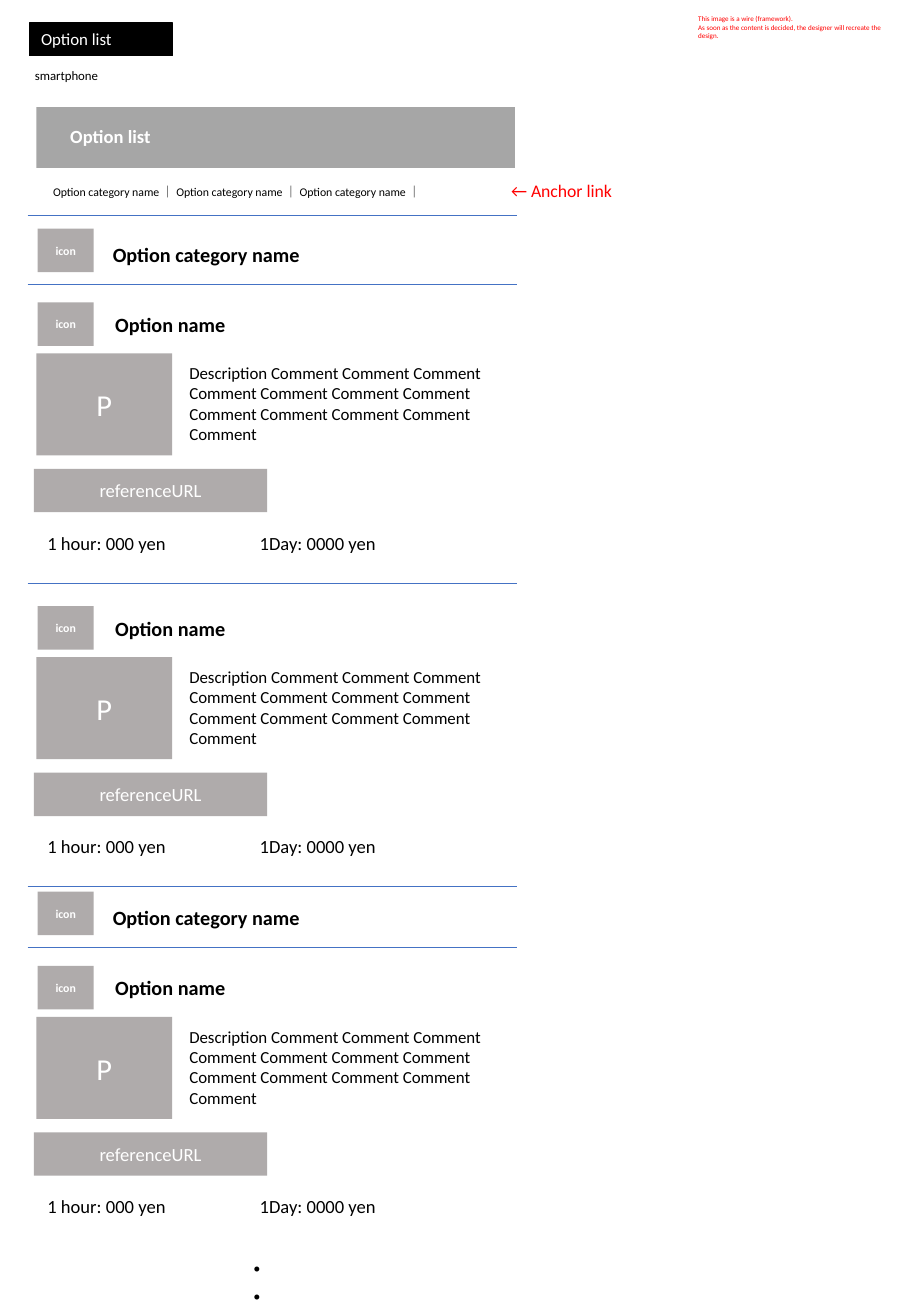
"""Build the smartphone wireframe of the option list page."""
from dataclasses import dataclass
from typing import Optional

import lxml.etree
import pptx
import pptx.dml.color
import pptx.enum.shapes
import pptx.enum.text
import pptx.oxml.ns
import pptx.shapes.autoshape
import pptx.slide
import pptx.util

Cm = pptx.util.Cm
Align = pptx.enum.text.PP_ALIGN
Anchor = pptx.enum.text.MSO_ANCHOR
AutoSize = pptx.enum.text.MSO_AUTO_SIZE


@dataclass(frozen=True)
class Theme:
    font: str = "Calibri"
    black: str = "000000"
    white: str = "FFFFFF"
    red: str = "FF0000"
    banner: str = "A6A6A6"
    placeholder: str = "AFABAB"
    rule: str = "4472C4"
    note: float = 4.2
    small: float = 7
    device: float = 7.6
    body: float = 10
    anchor: float = 10.5
    label: float = 11
    heading: float = 12
    bullet: float = 14
    photo: float = 18


@dataclass(frozen=True)
class Area:
    left: float
    top: float
    width: float
    height: float

    def below(self, offset: float) -> "Area":
        return Area(self.left, round(self.top + offset, 2), self.width, self.height)


@dataclass(frozen=True)
class Label:
    area: Area
    text: str
    size: float
    color: str = Theme.black
    bold: bool = False
    wrap: bool = False
    grow: bool = True
    anchor: Anchor = Anchor.TOP


@dataclass(frozen=True)
class Block:
    area: Area
    text: str
    size: float
    bold: bool = False


THEME = Theme()
ICON = Block(Area(0.79, 0, 1.17, 0.91), "icon", THEME.small, bold=True)
DESCRIPTION = "Description" + " Comment" * 12
NAVIGATION = " ".join(["Option category name ｜"] * 3)
NOTE = ("This image is a wire (framework).\n"
        "As soon as the content is decided, the designer will recreate the design.")

PAGE_LABELS = (
    Label(Area(0.48, 1.3, 2.41, 0.58), "smartphone", THEME.device),
    Label(Area(14.35, 0.18, 4.78, 0.61), NOTE, THEME.note, THEME.red),
    Label(Area(1.22, 2.59, 4.32, 0.51), "Option list", THEME.label, THEME.white,
          bold=True, wrap=True, grow=False, anchor=Anchor.MIDDLE),
    Label(Area(0.86, 3.73, 10.01, 0.56), NAVIGATION, THEME.small, wrap=True),
    Label(Area(10.44, 3.63, 3.48, 0.71), "← Anchor link", THEME.anchor, THEME.red),
    Label(Area(4.88, 26.11, 1.02, 1.45), "・\n・", THEME.bullet),
)
CATEGORY_PARTS = (
    ICON,
    Label(Area(2.11, 0.15, 5.21, 0.76), "Option category name", THEME.heading, bold=True),
)
OPTION_PARTS = (
    ICON,
    Label(Area(2.16, 0.08, 3.07, 0.76), "Option name", THEME.heading, bold=True),
    Block(Area(0.76, 1.07, 2.84, 2.13), "P", THEME.photo),
    Label(Area(3.71, 1.14, 7.04, 1.55), DESCRIPTION, THEME.body, wrap=True),
    Block(Area(0.71, 3.48, 4.88, 0.91), "referenceURL", THEME.label),
    Label(Area(0.74, 4.67, 3.66, 0.74), "1 hour: 000 yen", THEME.label),
    Label(Area(5.18, 4.67, 3.45, 0.74), "1Day: 0000 yen", THEME.label),
)
CATEGORY_TOPS = (4.78, 18.64)
OPTION_TOPS = (6.32, 12.67, 20.19)
RULE_TOPS = (4.5, 5.94, 12.19, 18.52, 19.81)
RULE_LEFT, RULE_RIGHT = 0.58, 10.82


def rgb(color: str) -> pptx.dml.color.RGBColor:
    return pptx.dml.color.RGBColor.from_string(color)


def write_text(shape: pptx.shapes.autoshape.Shape, text: str, *, size: float,
               color: str = THEME.black, bold: bool = False, wrap: bool = True,
               grow: bool = False, align: Align = Align.LEFT,
               anchor: Anchor = Anchor.TOP) -> None:
    frame = shape.text_frame
    frame.word_wrap = wrap
    frame.auto_size = AutoSize.SHAPE_TO_FIT_TEXT if grow else AutoSize.NONE
    frame.vertical_anchor = anchor
    frame.text = text
    for paragraph in frame.paragraphs:
        paragraph.alignment = align
        for run in paragraph.runs:
            run.font.name = THEME.font
            run.font.size = pptx.util.Pt(size)
            run.font.bold = bold
            run.font.color.rgb = rgb(color)


def add_rectangle(slide: pptx.slide.Slide, area: Area, fill: str,
                  line: Optional[str] = None) -> pptx.shapes.autoshape.Shape:
    shape = slide.shapes.add_shape(
        pptx.enum.shapes.MSO_SHAPE.RECTANGLE,
        Cm(area.left), Cm(area.top), Cm(area.width), Cm(area.height))
    shape.shadow.inherit = False
    shape.fill.solid()
    shape.fill.fore_color.rgb = rgb(fill)
    if line:
        shape.line.color.rgb = rgb(line)
        shape.line.width = pptx.util.Pt(0.75)
    else:
        shape.line.fill.background()
    return shape


def add_label(slide: pptx.slide.Slide, label: Label, offset: float = 0) -> None:
    area = label.area.below(offset)
    shape = slide.shapes.add_textbox(
        Cm(area.left), Cm(area.top), Cm(area.width), Cm(area.height))
    write_text(shape, label.text, size=label.size, color=label.color, bold=label.bold,
               wrap=label.wrap, grow=label.grow, anchor=label.anchor)


def add_block(slide: pptx.slide.Slide, block: Block, offset: float) -> None:
    shape = add_rectangle(slide, block.area.below(offset), THEME.placeholder)
    write_text(shape, block.text, size=block.size, color=THEME.white, bold=block.bold,
               align=Align.CENTER, anchor=Anchor.MIDDLE)


def add_section(slide: pptx.slide.Slide, parts: tuple, top: float) -> None:
    for part in parts:
        if isinstance(part, Block):
            add_block(slide, part, top)
        else:
            add_label(slide, part, top)


def add_rule(slide: pptx.slide.Slide, top: float) -> None:
    connector = slide.shapes.add_connector(
        pptx.enum.shapes.MSO_CONNECTOR.STRAIGHT,
        Cm(RULE_LEFT), Cm(top), Cm(RULE_RIGHT), Cm(top))
    connector.line.color.rgb = rgb(THEME.rule)
    connector.line.width = pptx.util.Pt(0.5)
    properties = connector._element.spPr
    lxml.etree.SubElement(properties, pptx.oxml.ns.qn("a:effectLst"))


def main() -> None:
    presentation = pptx.Presentation()
    presentation.slide_width, presentation.slide_height = Cm(19.05), Cm(27.51)
    slide = presentation.slides.add_slide(presentation.slide_layouts[6])
    title = add_rectangle(slide, Area(0.61, 0.48, 3, 0.69), THEME.black, THEME.black)
    write_text(title, "Option list", size=THEME.body, color=THEME.white,
               wrap=False, grow=True)
    add_rectangle(slide, Area(0.76, 2.24, 10.01, 1.27), THEME.banner)
    for label in PAGE_LABELS:
        add_label(slide, label)
    for top in CATEGORY_TOPS:
        add_section(slide, CATEGORY_PARTS, top)
    for top in OPTION_TOPS:
        add_section(slide, OPTION_PARTS, top)
    for top in RULE_TOPS:
        add_rule(slide, top)
    presentation.save("out.pptx")


if __name__ == "__main__":
    main()
